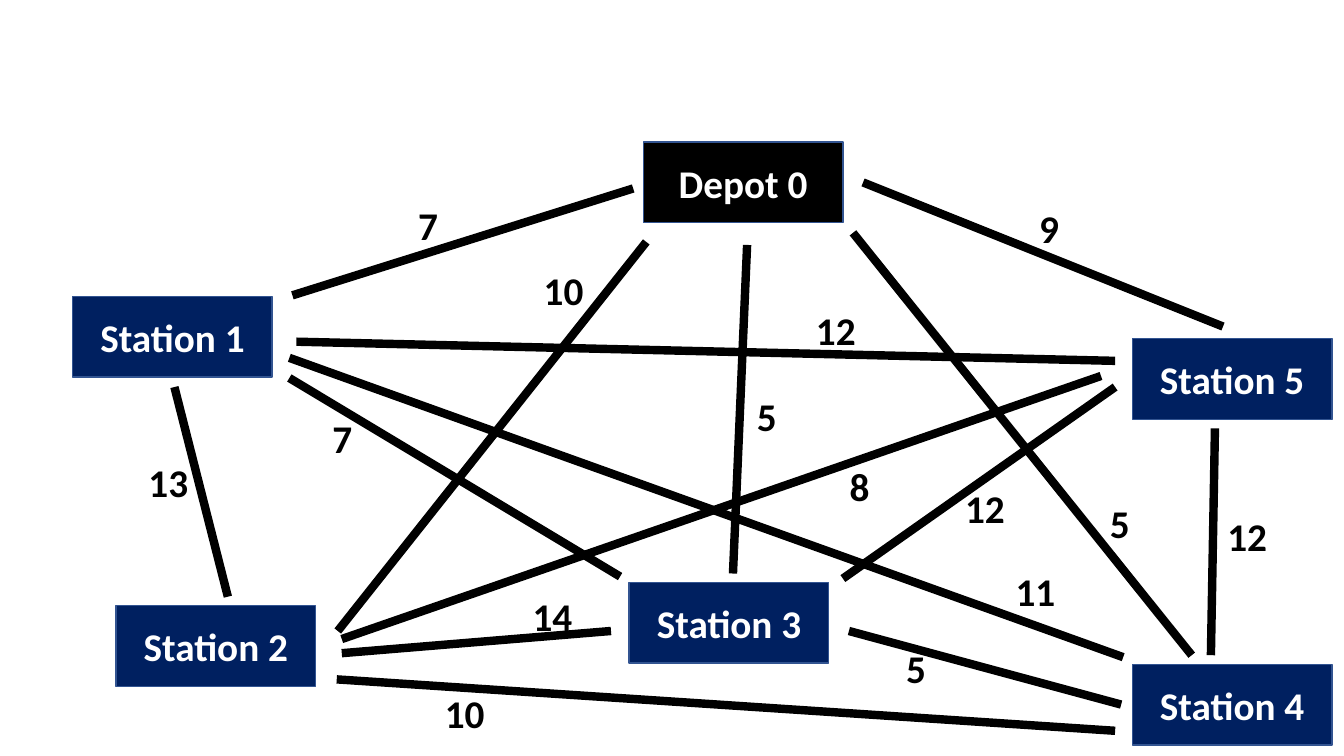
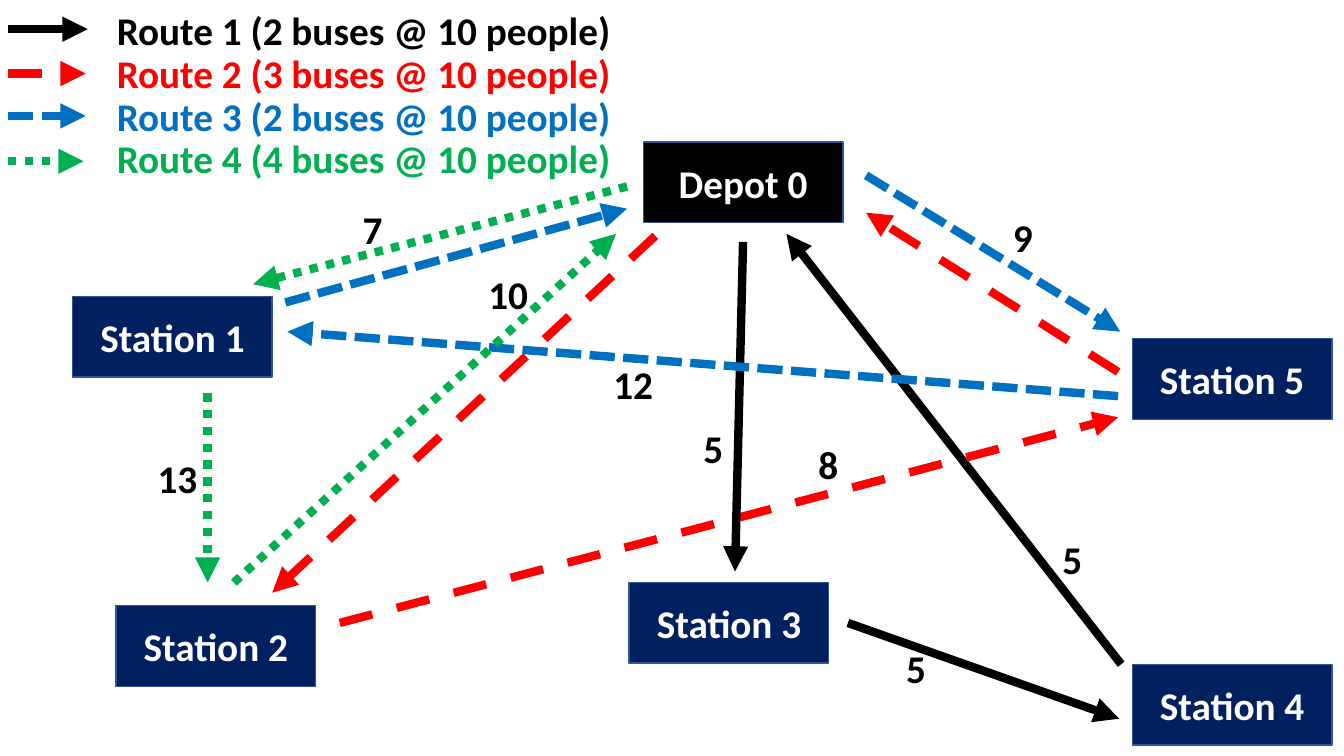
from lxml import etree
from pptx import Presentation
from pptx.dml.color import RGBColor
from pptx.enum import dml, shapes, text
from pptx.oxml import ns
from pptx.util import Inches, Pt

FONT = "Calibri"
SIZE = 28
BLACK, WHITE, NAVY, BORDER = "000000", "FFFFFF", "002060", "325491"
STOP_W, STOP_H = 1.98, 0.8
LABEL_H = 0.57
LABEL_W = {1: 0.41, 2: 0.6}
LEGEND_X, LEGEND_TEXT_X, LEGEND_TEXT_W = 0.08, 1.06, 5.15

STOPS = [
    ("Depot 0", 6.38, 1.41, BLACK),
    ("Station 1", 0.72, 2.94, NAVY),
    ("Station 2", 1.15, 6.01, NAVY),
    ("Station 3", 6.24, 5.78, NAVY),
    ("Station 4", 11.23, 6.59, NAVY),
    ("Station 5", 11.23, 3.36, NAVY),
]

ROADS = [
    (2.87, 3.75, 6.15, 5.72),
    (6.06, 6.26, 3.39, 6.48),
    (1.73, 3.84, 2.26, 5.92),
    (8.56, 1.81, 12.13, 3.24),
    (6.28, 1.87, 2.9, 2.93),
    (12.05, 4.25, 12.01, 6.5),
    (11.12, 6.99, 8.42, 6.26),
    (6.41, 2.4, 3.35, 6.26),
    (2.94, 3.39, 11.06, 3.58),
    (11.06, 3.84, 8.36, 5.74),
    (7.41, 2.43, 7.27, 5.69),
    (11.06, 7.25, 3.34, 6.74),
    (10.92, 3.73, 3.39, 6.34),
    (2.87, 3.55, 11.14, 6.52),
    (11.82, 6.5, 8.46, 2.31),
]
ROAD_TIMES = [
    ("9", 10.2, 1.98), ("8", 8.32, 4.54), ("13", 1.37, 4.5),
    ("7", 4.04, 1.95), ("5", 7.4, 3.84), ("10", 5.29, 2.59),
    ("5", 8.88, 6.34), ("7", 3.19, 4.06), ("12", 9.47, 4.76),
    ("12", 7.99, 2.99), ("10", 4.31, 6.79), ("11", 9.97, 5.58),
    ("5", 10.9, 4.9), ("12", 12.07, 5.03), ("14", 5.18, 5.83),
]

DASH = dml.MSO_LINE.DASH
SHORT_DASH = dml.MSO_LINE.SQUARE_DOT
DOT = dml.MSO_LINE.ROUND_DOT
ROUTES = {
    1: (BLACK, None),
    2: ("FF0000", DASH),
    3: ("0070C0", SHORT_DASH),
    4: ("00B050", DOT),
}
LEGEND = [
    (1, "Route 1 (2 buses @ 10 people)", 0.01, 0.29, 0.87),
    (2, "Route 2 (3 buses @ 10 people)", 0.44, 0.73, 0.85),
    (3, "Route 3 (2 buses @ 10 people)", 0.87, 1.15, 0.85),
    (4, "Route 4 (4 buses @ 10 people)", 1.28, 1.6, 0.83),
]
LEGS = [
    (4, 2.06, 3.9, 2.06, 5.78),
    (2, 6.5, 2.34, 2.7, 5.88),
    (3, 2.83, 3, 6.22, 2.07),
    (1, 11.12, 6.59, 7.8, 2.32),
    (2, 3.37, 6.18, 11.09, 4.14),
    (2, 11.09, 3.69, 8.59, 2.11),
    (1, 7.37, 2.4, 7.29, 5.67),
    (1, 8.41, 6.18, 11.1, 7.13),
    (3, 8.59, 1.74, 11.11, 3.29),
    (3, 11.09, 3.93, 2.85, 3.29),
    (4, 2.32, 5.78, 6.11, 2.32),
    (4, 6.22, 1.85, 2.51, 2.82),
]
LEG_TIMES = [
    ("13", 1.46, 4.46), ("7", 3.49, 1.99), ("10", 4.74, 2.63),
    ("9", 9.94, 2.07), ("8", 8.01, 4.32), ("12", 5.98, 3.53),
    ("5", 8.88, 6.34), ("5", 10.43, 5.26), ("5", 6.87, 4.16),
]


def rgb(color):
    return RGBColor.from_string(color)


def write(frame, words, color, align):
    paragraph = frame.paragraphs[0]
    paragraph.alignment = align
    run = paragraph.add_run()
    run.text = words
    run.font.name = FONT
    run.font.size = Pt(SIZE)
    run.font.bold = True
    run.font.color.rgb = rgb(color)


def add_stops(slide):
    for name, x, y, fill in STOPS:
        stop = slide.shapes.add_shape(
            shapes.MSO_SHAPE.RECTANGLE,
            Inches(x), Inches(y), Inches(STOP_W), Inches(STOP_H))
        stop.shadow.inherit = False
        stop.fill.solid()
        stop.fill.fore_color.rgb = rgb(fill)
        stop.line.color.rgb = rgb(BORDER)
        stop.line.width = Pt(1)
        stop.text_frame.vertical_anchor = text.MSO_ANCHOR.MIDDLE
        write(stop.text_frame, name, WHITE, text.PP_ALIGN.CENTER)


def add_words(slide, words, x, y, width, color=BLACK, align=text.PP_ALIGN.CENTER):
    box = slide.shapes.add_textbox(
        Inches(x), Inches(y), Inches(width), Inches(LABEL_H))
    box.text_frame.word_wrap = False
    box.text_frame.auto_size = text.MSO_AUTO_SIZE.SHAPE_TO_FIT_TEXT
    write(box.text_frame, words, color, align)


def add_times(slide, times):
    for minutes, x, y in times:
        add_words(slide, minutes, x, y, LABEL_W[len(minutes)])


def add_line(slide, ends, color=BLACK, dash=None, arrow=False):
    link = slide.shapes.add_connector(
        shapes.MSO_CONNECTOR.STRAIGHT, *map(Inches, ends))
    link.line.color.rgb = rgb(color)
    link.line.width = Pt(6)
    if dash:
        link.line.dash_style = dash
    if arrow:
        outline = link.line._get_or_add_ln()
        etree.SubElement(outline, ns.qn("a:tailEnd"), type="triangle")
    etree.SubElement(link._element.spPr, ns.qn("a:effectLst"))


def build_network(slide):
    add_stops(slide)
    for ends in ROADS:
        add_line(slide, ends)
    add_times(slide, ROAD_TIMES)


def build_routes(slide):
    for route, words, text_y, line_y, end_x in LEGEND:
        color, dash = ROUTES[route]
        add_line(slide, (LEGEND_X, line_y, end_x, line_y), color, dash, True)
        add_words(slide, words, LEGEND_TEXT_X, text_y, LEGEND_TEXT_W,
                  color, text.PP_ALIGN.LEFT)
    add_stops(slide)
    for route, *ends in LEGS:
        add_line(slide, ends, *ROUTES[route], arrow=True)
    add_times(slide, LEG_TIMES)


def main():
    deck = Presentation()
    deck.slide_width, deck.slide_height = Inches(13.33), Inches(7.5)
    for build in (build_network, build_routes):
        build(deck.slides.add_slide(deck.slide_layouts[6]))
    deck.save("out.pptx")


if __name__ == "__main__":
    main()
